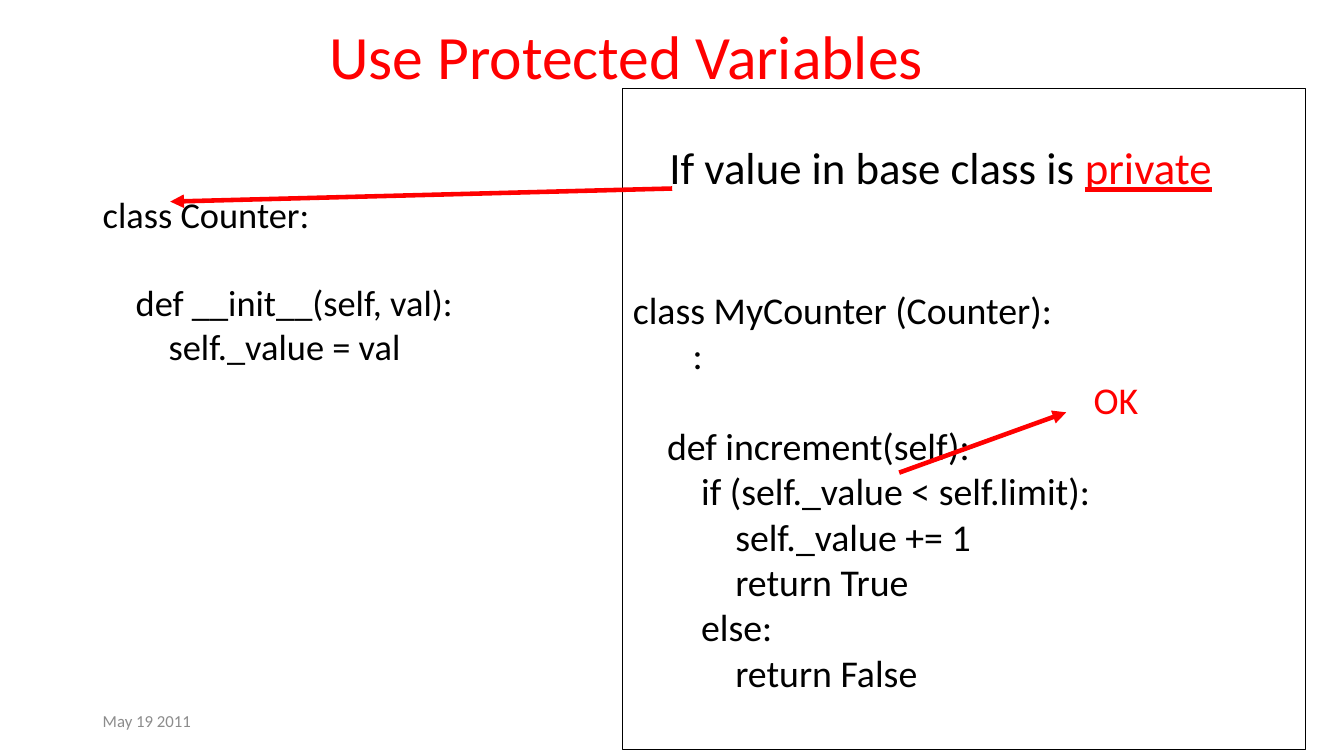
from lxml import etree
from pptx import Presentation
from pptx.dml.color import RGBColor
from pptx.enum.shapes import MSO_CONNECTOR, MSO_SHAPE
from pptx.enum.text import MSO_ANCHOR, PP_ALIGN
from pptx.oxml.ns import qn
from pptx.util import Cm, Pt

RED = RGBColor(0xFF, 0x00, 0x00)
BLACK = RGBColor(0x00, 0x00, 0x00)
GRAY = RGBColor(0x8C, 0x8C, 0x8C)
FONT = "Calibri"
STRAIGHT = MSO_CONNECTOR.STRAIGHT
RECTANGLE = MSO_SHAPE.RECTANGLE
LEFT = PP_ALIGN.LEFT
TOP, MIDDLE = MSO_ANCHOR.TOP, MSO_ANCHOR.MIDDLE


def add_span(para, text, size, color=BLACK, underline=False):
    span = para.add_run()
    span.text = text
    font = span.font
    font.name, font.size = FONT, Pt(size)
    font.color.rgb = color
    if underline:
        font.underline = True


def add_text_box(slide, box, anchor=TOP):
    frame = slide.shapes.add_textbox(*map(Cm, box)).text_frame
    frame.word_wrap = True
    frame.vertical_anchor = anchor
    return frame


def next_para(frame, indent=0, space_before=0):
    """Return the first paragraph while it is empty, else a new one."""
    para = frame.paragraphs[0]
    if para.runs:
        para = frame.add_paragraph()
    para.alignment = LEFT
    para.space_before = Pt(space_before)
    properties = para._p.get_or_add_pPr()
    properties.set("marL", str(Cm(indent)))
    properties.set("indent", "0")
    return para


def add_title(slide, box):
    para = next_para(add_text_box(slide, box, MIDDLE))
    para.line_spacing = 0.9
    add_span(para, "Use Protected Variables", 44, RED)


def add_date(slide, box):
    para = next_para(add_text_box(slide, box, MIDDLE))
    add_span(para, "May 19 2011", 12, GRAY)


def add_base_class(slide, box):
    frame = add_text_box(slide, box)
    step, size = 0.83, 26
    lines = [
        (0, 0, "class Counter:"),
        (1, 31.7, "def __init__(self, val):"),
        (2, 0, "self._value = val"),
    ]
    for level, gap, text in lines:
        add_span(next_para(frame, level * step, gap), text, size)


def add_derived_class(slide, box):
    panel = slide.shapes.add_shape(RECTANGLE, *map(Cm, box))
    panel.shadow.inherit = False
    panel.fill.background()
    panel.line.color.rgb = BLACK
    panel.line.width = Pt(0.75)
    frame = panel.text_frame
    frame.word_wrap = True
    frame.vertical_anchor = TOP
    frame.margin_top = Cm(1.29)

    heading = next_para(frame, 0.92)
    add_span(heading, "If value in base class is ", 32)
    add_span(heading, "private", 32, RED, underline=True)

    step, size = 0.86, 27
    lines = [
        (0, 66, "class MyCounter (Counter):", BLACK),
        (1.75, 0, ":", BLACK),
        (13.5, 0, "OK", RED),
        (1, 0, "def increment(self):", BLACK),
        (2, 0, "if (self._value < self.limit):", BLACK),
        (3, 0, "self._value += 1", BLACK),
        (3, 0, "return True", BLACK),
        (2, 0, "else:", BLACK),
        (3, 0, "return False", BLACK),
    ]
    for level, gap, text, color in lines:
        add_span(next_para(frame, level * step, gap), text, size, color)


def add_arrow(slide, start, end):
    arrow = slide.shapes.add_connector(STRAIGHT, *map(Cm, start + end))
    arrow.line.color.rgb = RED
    arrow.line.width = Pt(3.25)
    head = etree.SubElement(arrow.line._get_or_add_ln(), qn("a:tailEnd"))
    head.set("type", "triangle")
    etree.SubElement(arrow._element.spPr, qn("a:effectLst"))


def main():
    deck = Presentation()
    deck.slide_width, deck.slide_height = Cm(33.87), Cm(19.05)
    slide = deck.slides.add_slide(deck.slide_layouts[6])
    add_date(slide, (2.34, 17.65, 7.62, 1.02))
    add_title(slide, (8.05, 0, 25.4, 3.02))
    add_base_class(slide, (2.34, 4.72, 13, 5.82))
    add_derived_class(slide, (15.7, 2.24, 17.2, 16.64))
    add_arrow(slide, (16.94, 4.75), (4.29, 5.08))
    add_arrow(slide, (22.66, 11.91), (26.87, 10.39))
    deck.save("out.pptx")


if __name__ == "__main__":
    main()
